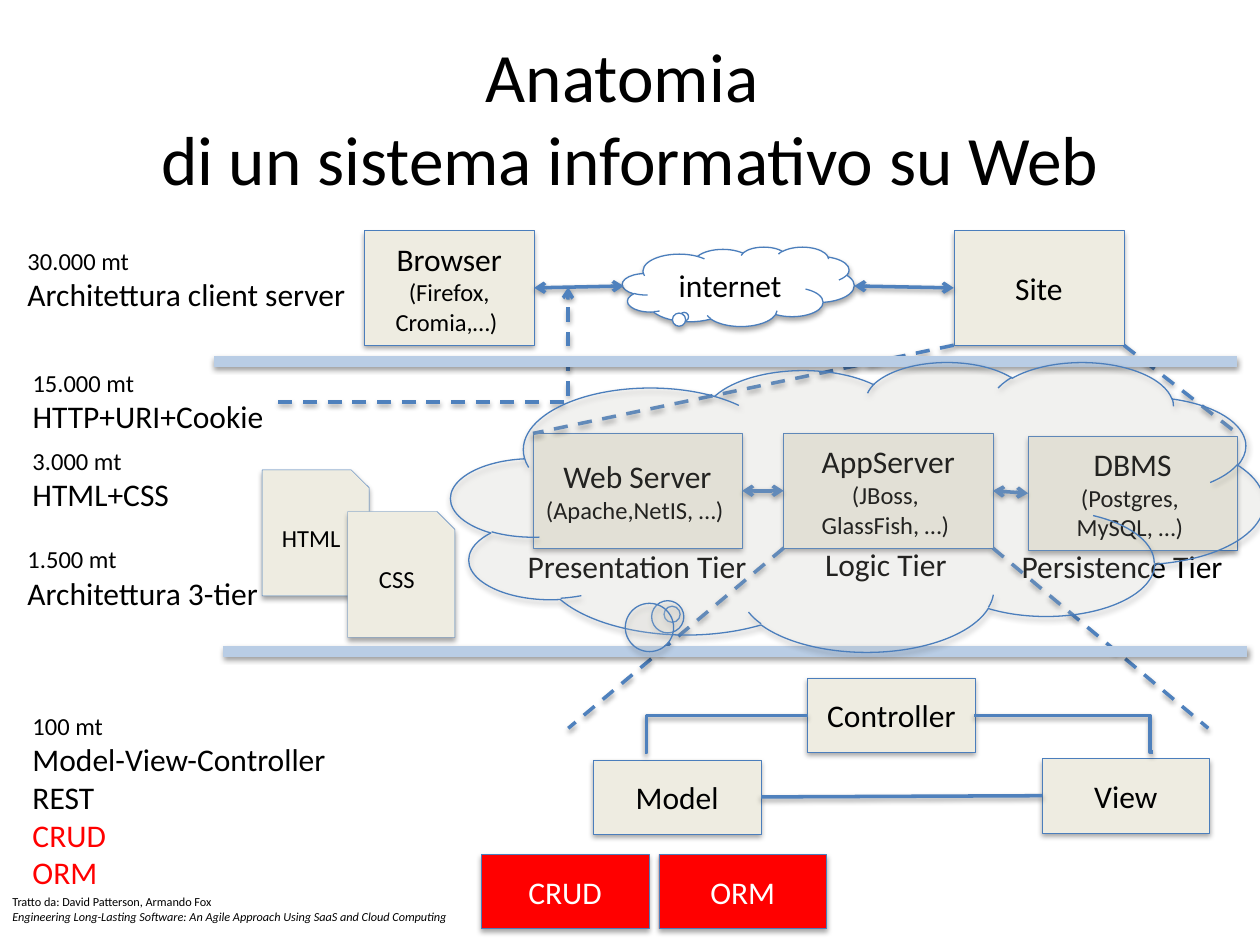
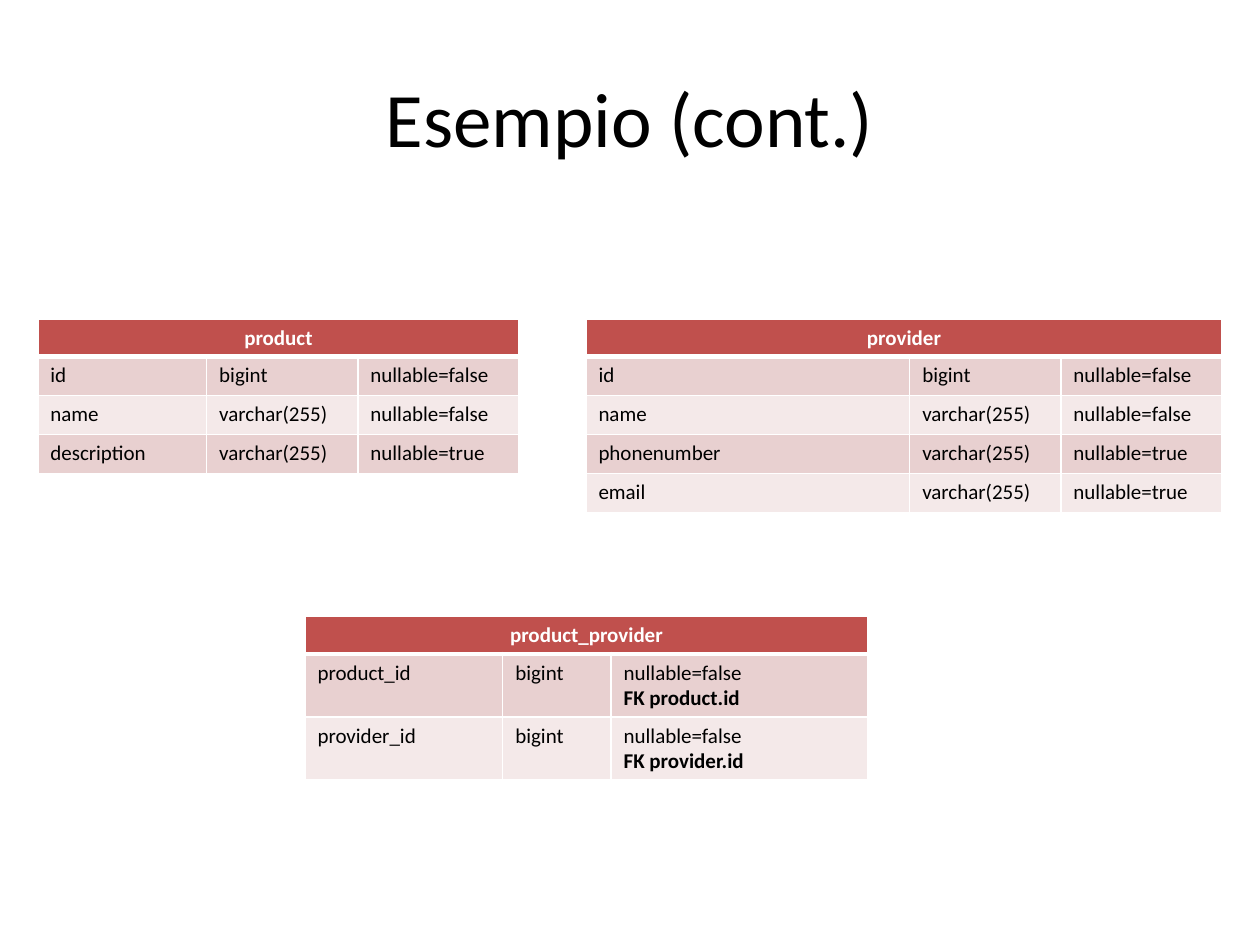
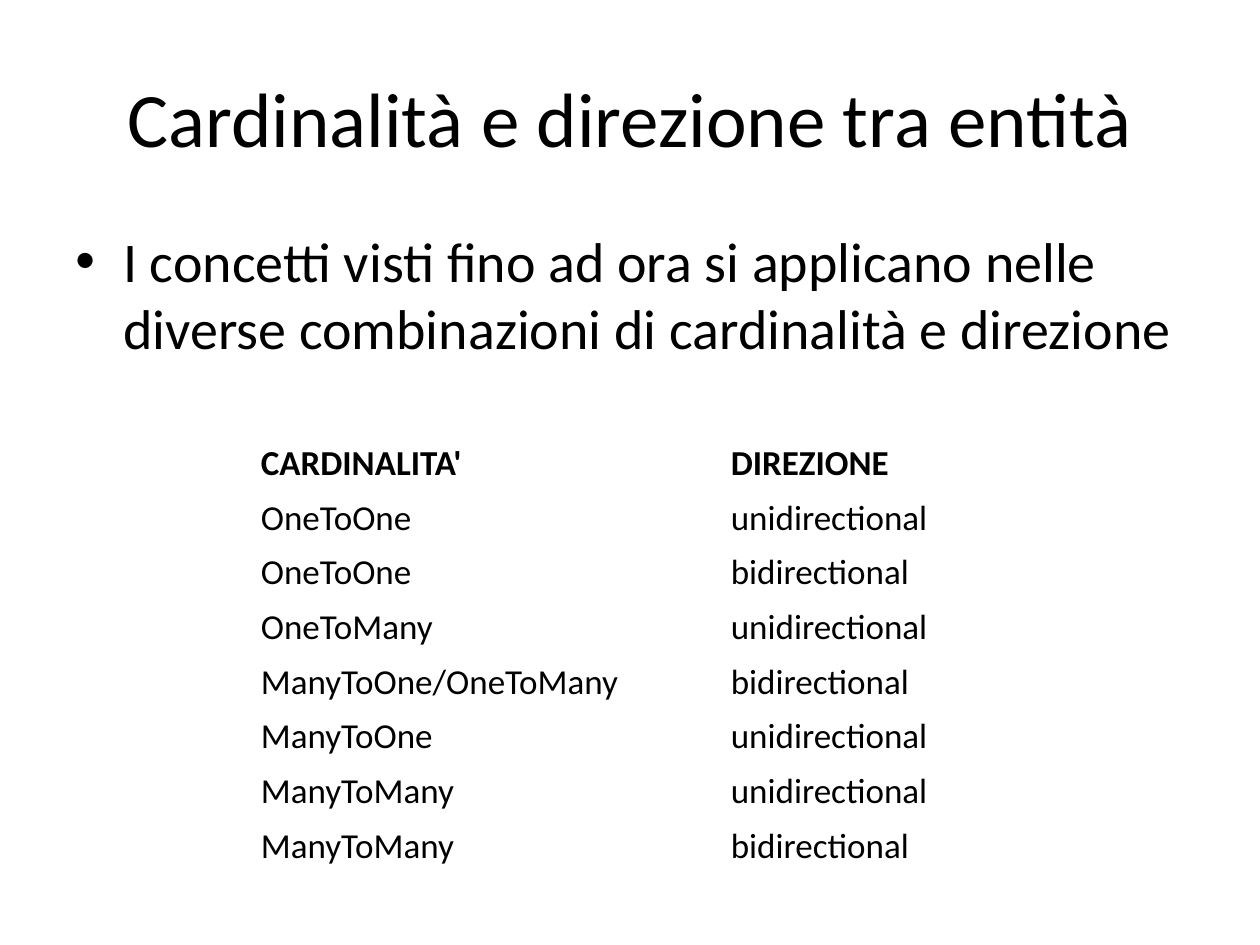
from dataclasses import dataclass

from lxml import etree
from pptx import Presentation
from pptx import util as u
from pptx.dml.color import RGBColor
from pptx.enum import dml, shapes, text
from pptx.oxml import ns


@dataclass(frozen=True)
class Theme:
    font: str = "Calibri"
    ink: str = "000000"
    white: str = "FFFFFF"
    sand: str = "EEECE1"
    outline: str = "4B7EBC"
    blue: str = "4F81BD"
    band: str = "B9CDE5"
    red: str = "FF0000"
    header: str = "C0504D"
    stripes: tuple = ("E8D0D0", "F4E9E9")
    title: float = 44
    long_title: float = 39.6
    body: float = 32
    grid: float = 20
    label: float = 18
    detail: float = 14
    schema: float = 12
    credit: float = 7


@dataclass(frozen=True)
class Box:
    left: float
    top: float
    width: float
    height: float

    def inner(self, dx, dy, width, height):
        return Box(self.left + dx, self.top + dy, width, height)

    def point(self, dx, dy):
        return self.left + dx, self.top + dy

    def emu(self):
        return [u.Inches(n) for n in (self.left, self.top, self.width, self.height)]


THEME = Theme()
NO_TABLE_STYLE = "{2D5ABB26-0587-4C30-8999-92F81FD0307C}"
TITLE = Box(0.5, 0.3, 9, 1.25)


def rgb(color):
    return RGBColor.from_string(color)


def child(parent, tag, **attributes):
    element = etree.SubElement(parent, ns.qn(tag))
    for name, value in attributes.items():
        element.set(name, str(value))
    return element


def add_shadow(properties, opacity, distance):
    effects = properties.find(ns.qn("a:effectLst"))
    if effects is None:
        effects = child(properties, "a:effectLst")
    shadow = child(effects, "a:outerShdw", blurRad=u.Pt(3.1), dist=u.Pt(distance),
                   dir=5400000, rotWithShape=0)
    child(child(shadow, "a:srgbClr", val=THEME.ink), "a:alpha", val=opacity * 1000)


def style(paragraph, size, color=THEME.ink, bold=False, align=None):
    paragraph.alignment = align
    font = paragraph.font
    font.name, font.size, font.bold = THEME.font, u.Pt(size), bold
    font.color.rgb = rgb(color)


def write(frame, lines, align=None):
    for index, (words, size, color) in enumerate(lines):
        paragraph = frame.paragraphs[0] if index == 0 else frame.add_paragraph()
        paragraph.text = words
        style(paragraph, size, color, align=align)


def text_area(slide, box, lines, wrap=True, align=None, anchor=text.MSO_ANCHOR.TOP):
    frame = slide.shapes.add_textbox(*box.emu()).text_frame
    frame.word_wrap = wrap
    frame.vertical_anchor = anchor
    write(frame, lines, align)
    return frame


def add_title(slide, words, size=THEME.title):
    text_area(slide, TITLE, [(words, size, THEME.ink)],
              align=text.PP_ALIGN.CENTER, anchor=text.MSO_ANCHOR.MIDDLE)


def label(words, color=THEME.ink):
    return words, THEME.label, color


def detail(words):
    return words, THEME.detail, THEME.ink


def card(slide, box, lines, fill=THEME.sand, kind=shapes.MSO_SHAPE.RECTANGLE, weight=0.25):
    shape = slide.shapes.add_shape(kind, *box.emu())
    shape.shadow.inherit = False
    shape.fill.solid()
    shape.fill.fore_color.rgb = rgb(fill)
    shape.line.color.rgb = rgb(THEME.outline)
    shape.line.width = u.Pt(weight)
    add_shadow(shape._element.spPr, 35, 1.8)
    shape.text_frame.vertical_anchor = text.MSO_ANCHOR.MIDDLE
    write(shape.text_frame, lines, text.PP_ALIGN.CENTER)
    return shape


def cloud(slide, box, lines, fill):
    shape = card(slide, box, lines, fill, shapes.MSO_SHAPE.CLOUD_CALLOUT, 0.75)
    shape.adjustments[0] = -0.228
    shape.adjustments[1] = 0.372
    return shape


def link(slide, start, end, color=THEME.blue, weight=2, dashed=False,
         head=False, tail=False, bend=None, begin_at=None, end_at=None):
    kind = shapes.MSO_CONNECTOR.STRAIGHT if bend is None else shapes.MSO_CONNECTOR.ELBOW
    connector = slide.shapes.add_connector(kind, *[u.Inches(n) for n in (*start, *end)])
    connector.line.color.rgb = rgb(color)
    connector.line.width = u.Pt(weight)
    if dashed:
        connector.line.dash_style = dml.MSO_LINE.DASH
    properties = connector._element.spPr
    outline = properties.find(ns.qn("a:ln"))
    for wanted, tag in ((head, "a:headEnd"), (tail, "a:tailEnd")):
        if wanted:
            child(outline, tag, type="arrow")
    if bend is not None:
        geometry = properties.find(ns.qn("a:prstGeom"))
        guides = geometry.find(ns.qn("a:avLst"))
        if guides is None:
            guides = child(geometry, "a:avLst")
        child(guides, "a:gd", name="adj1", fmla=f"val {round(bend * 100000)}")
    add_shadow(properties, 38, 1.6)
    if begin_at:
        connector.begin_connect(begin_at, 3)
    if end_at:
        connector.end_connect(end_at, 1)


def client_server(slide, box):
    browser = card(slide, box.inner(0, 0, 1.35, 0.91),
                   [label("Browser"), detail("(Firefox, Cromia,…) ")])
    site = card(slide, box.inner(4.68, 0, 1.35, 0.91), [label("Site")])
    cloud(slide, box.inner(2.05, 0.13, 1.84, 0.63), [label("internet")], THEME.white)
    link(slide, box.point(1.35, 0.45), box.point(2.06, 0.44),
         head=True, tail=True, begin_at=browser)
    link(slide, box.point(3.89, 0.44), box.point(4.68, 0.45),
         head=True, tail=True, end_at=site)


def altitude_levels(slide, box):
    levels = [
        (0, 0, 2.76, 0.64, False, "30.000 mt", ["Architettura client server"]),
        (0.04, 0.97, 2.05, 0.64, False, "15.000 mt", ["HTTP+URI+Cookie"]),
        (0.04, 1.59, 5, 0.64, True, "3.000 mt", ["HTML+CSS"]),
        (0, 2.37, 5, 0.64, True, "1.500 mt", ["Architettura 3-tier"]),
        (0.04, 3.69, 5, 1.55, True, "100 mt",
         ["Model-View-Controller", "REST", "CRUD", "ORM"]),
    ]
    for dx, dy, width, height, wrap, altitude, topics in levels:
        lines = [detail(altitude)]
        for topic in topics:
            lines.append(label(topic, THEME.red if topic in ("CRUD", "ORM") else THEME.ink))
        text_area(slide, box.inner(dx, dy, width, height), lines, wrap)
    link(slide, box.point(2.09, 1.29), box.point(4.39, 0.38), dashed=True, tail=True, bend=0.999)


def web_documents(slide, box):
    for index, name in enumerate(("HTML", "CSS")):
        card(slide, box.inner(0.68 * index, 0.33 * index, 0.85, 1), [detail(name)],
             kind=shapes.MSO_SHAPE.SNIP_1_RECTANGLE)


def three_tiers(slide, box):
    tiers = [
        (0.65, 0.57, "Web Server", "(Apache,NetIS, …) "),
        (2.64, 0.57, "AppServer", "(JBoss, \nGlassFish, …) "),
        (4.58, 0.59, "DBMS", "(Postgres, \nMySQL, …) "),
    ]
    servers = [card(slide, box.inner(dx, dy, 1.66, 0.91), [label(name), detail(products)])
               for dx, dy, name, products in tiers]
    captions = [(0.51, 1.42, 1.97, "Presentation Tier"), (2.87, 1.41, 1.18, "Logic Tier"),
                (4.43, 1.42, 1.83, "Persistence Tier")]
    for dx, dy, width, words in captions:
        text_area(slide, box.inner(dx, dy, width, 0.4), [label(words)], wrap=False)
    for (dx, dy, *_), (next_dx, next_dy, *_), server, following in zip(
            tiers, tiers[1:], servers, servers[1:]):
        link(slide, box.point(dx + 1.66, dy + 0.455), box.point(next_dx, next_dy + 0.455),
             head=True, tail=True, begin_at=server, end_at=following)


def zoom_lines(slide, site_foot, tiers, logic_foot, mvc):
    for source, target in ((site_foot, tiers), (logic_foot, mvc)):
        for side in (0, 1):
            link(slide, source.point(source.width * side, 0),
                 target.point(target.width * side, 0), dashed=True)


def model_view_controller(slide, box):
    model, controller, view = [
        card(slide, box.inner(dx, dy, 1.33, 0.59), [label(name)])
        for dx, dy, name in ((0.2, 0.65, "Model"), (1.9, 0, "Controller"), (3.76, 0.64, "View"))]
    link(slide, box.point(0.61, 0.59), box.point(1.9, 0.3), bend=0.01)
    link(slide, box.point(4.64, 0.59), box.point(3.22, 0.3), bend=0.017)
    link(slide, box.point(1.53, 0.95), box.point(3.76, 0.93), begin_at=model, end_at=view)


def data_patterns(slide, box):
    for index, name in enumerate(("CRUD", "ORM")):
        card(slide, box.inner(1.41 * index, 0, 1.33, 0.59),
             [label(name, THEME.white)], fill=THEME.red)


def credit(slide, box):
    frame = text_area(slide, box, [("Tratto da: David Patterson, Armando Fox",
                                   THEME.credit, THEME.ink)], wrap=False)
    paragraph = frame.paragraphs[0]
    paragraph.add_line_break()
    book = paragraph.add_run()
    book.text = ("Engineering Long-Lasting Software: "
                 "An Agile Approach Using SaaS and Cloud Computing")
    book.font.italic = True


def tier_cloud(slide, box):
    haze = cloud(slide, box, [], THEME.sand)
    tint = haze._element.spPr.find(ns.qn("a:solidFill")).find(ns.qn("a:srgbClr"))
    child(tint, "a:alpha", val=15000)


def anatomy_slide(slide):
    tiers = Box(3.58, 2.87, 6.45, 2.3)
    mvc = Box(4.51, 5.38, 5.09, 1.24)
    add_title(slide, "Anatomia \ndi un sistema informativo su Web", THEME.long_title)
    client_server(slide, Box(2.89, 1.83, 6.03, 0.91))
    altitude_levels(slide, Box(0.12, 1.9, 5.04, 5.24))
    web_documents(slide, Box(2.08, 3.73, 1.53, 1.33))
    three_tiers(slide, tiers)
    zoom_lines(slide, Box(7.57, 2.74, 1.35, 0), tiers.inner(0.65, 0.57, 5.59, 0),
               tiers.inner(2.64, 1.48, 1.66, 0), mvc.inner(0, 0.4, 5.08, 0))
    for left, top, right in ((1.7, 2.87, 9.82), (1.77, 5.17, 9.9)):
        link(slide, (left, top), (right, top), color=THEME.band, weight=6)
    model_view_controller(slide, mvc)
    data_patterns(slide, Box(3.82, 6.78, 2.74, 0.59))
    credit(slide, Box(0, 7.05, 3.73, 0.45))
    tier_cloud(slide, tiers)


def plain_table(slide, box, widths, heights):
    frame = slide.shapes.add_table(len(heights), len(widths), *box.emu())
    table = frame.table
    table.first_row = table.horz_banding = False
    table._tbl.tblPr.find(ns.qn("a:tableStyleId")).text = NO_TABLE_STYLE
    for column, width in zip(table.columns, widths):
        column.width = u.Inches(width)
    for row, height in zip(table.rows, heights):
        row.height = u.Inches(height)
    return table


def set_borders(cell, top, bottom):
    properties = cell._tc.get_or_add_tcPr()
    sides = (("a:lnL", 1), ("a:lnR", 1), ("a:lnT", top), ("a:lnB", bottom))
    for index, (tag, weight) in enumerate(sides):
        edge = child(properties, tag, w=u.Pt(weight))
        child(child(edge, "a:solidFill"), "a:srgbClr", val=THEME.white)
        properties.insert(index, edge)


def schema_table(slide, box, name, widths, fields):
    table = plain_table(slide, box, widths, [0.23] + [0.31] * len(fields))
    table.cell(0, 0).merge(table.cell(0, len(widths) - 1))
    for row, values in enumerate([[name, "", ""]] + fields):
        for column, value in enumerate(values):
            cell = table.cell(row, column)
            cell.fill.solid()
            cell.fill.fore_color.rgb = rgb(THEME.stripes[(row - 1) % 2] if row else THEME.header)
            set_borders(cell, 3 if row == 1 else 1, 1 if row else 3)
            if not value:
                continue
            cell.text = value
            for paragraph in cell.text_frame.paragraphs:
                if row:
                    style(paragraph, THEME.schema, bold=paragraph.text.startswith("FK"))
                else:
                    style(paragraph, THEME.schema, THEME.white, True, text.PP_ALIGN.CENTER)


def example_slide(slide):
    add_title(slide, "Esempio (cont.)")
    required, optional = "nullable=false", "nullable=true"
    key = ["id", "bigint", required]
    named = ["name", "varchar(255)", required]
    schema_table(slide, Box(0.3, 2.53, 3.82, 1.23), "product", (1.34, 1.2, 1.28),
                 [key, named, ["description", "varchar(255)", optional]])
    schema_table(slide, Box(4.65, 2.53, 5.05, 1.54), "provider", (2.57, 1.2, 1.28),
                 [key, named, ["phonenumber", "varchar(255)", optional],
                  ["email", "varchar(255)", optional]])
    schema_table(slide, Box(2.42, 4.89, 4.47, 1.3), "product_provider", (1.57, 0.86, 2.04),
                 [[f"{owner}_id", "bigint", f"{required}\nFK {owner}.id"]
                  for owner in ("product", "provider")])


def concept(slide, box, words):
    frame = text_area(slide, box, [])
    paragraph = frame.paragraphs[0]
    paragraph.text = words
    properties = paragraph._p.get_or_add_pPr()
    properties.set("marL", str(u.Inches(0.38)))
    properties.set("indent", str(u.Inches(-0.38)))
    child(properties, "a:buFont", typeface="Arial")
    child(properties, "a:buChar", char="•")
    style(paragraph, THEME.body)


def combination_table(slide, box, rows):
    table = plain_table(slide, box, (3.73, 2.68), [0.41] * len(rows))
    for row, values in enumerate(rows):
        for column, value in enumerate(values):
            cell = table.cell(row, column)
            cell.fill.background()
            cell.text = value
            style(cell.text_frame.paragraphs[0], THEME.grid, bold=row == 0)


def cardinality_slide(slide):
    add_title(slide, "Cardinalità e direzione tra entità")
    concept(slide, Box(0.5, 1.75, 9, 4.95),
            "I concetti visti fino ad ora si applicano nelle "
            "diverse combinazioni di cardinalità e direzione")
    one_way, two_way = "unidirectional", "bidirectional"
    combination_table(slide, Box(1.97, 3.46, 6.41, 3.47), [
        ("CARDINALITA'", "DIREZIONE"),
        ("OneToOne", one_way),
        ("OneToOne", two_way),
        ("OneToMany", one_way),
        ("ManyToOne/OneToMany", two_way),
        ("ManyToOne", one_way),
        ("ManyToMany", one_way),
        ("ManyToMany", two_way),
    ])


def main():
    deck = Presentation()
    deck.slide_width, deck.slide_height = u.Inches(10), u.Inches(7.5)
    for build in (anatomy_slide, example_slide, cardinality_slide):
        build(deck.slides.add_slide(deck.slide_layouts[6]))
    deck.save("out.pptx")


if __name__ == "__main__":
    main()
